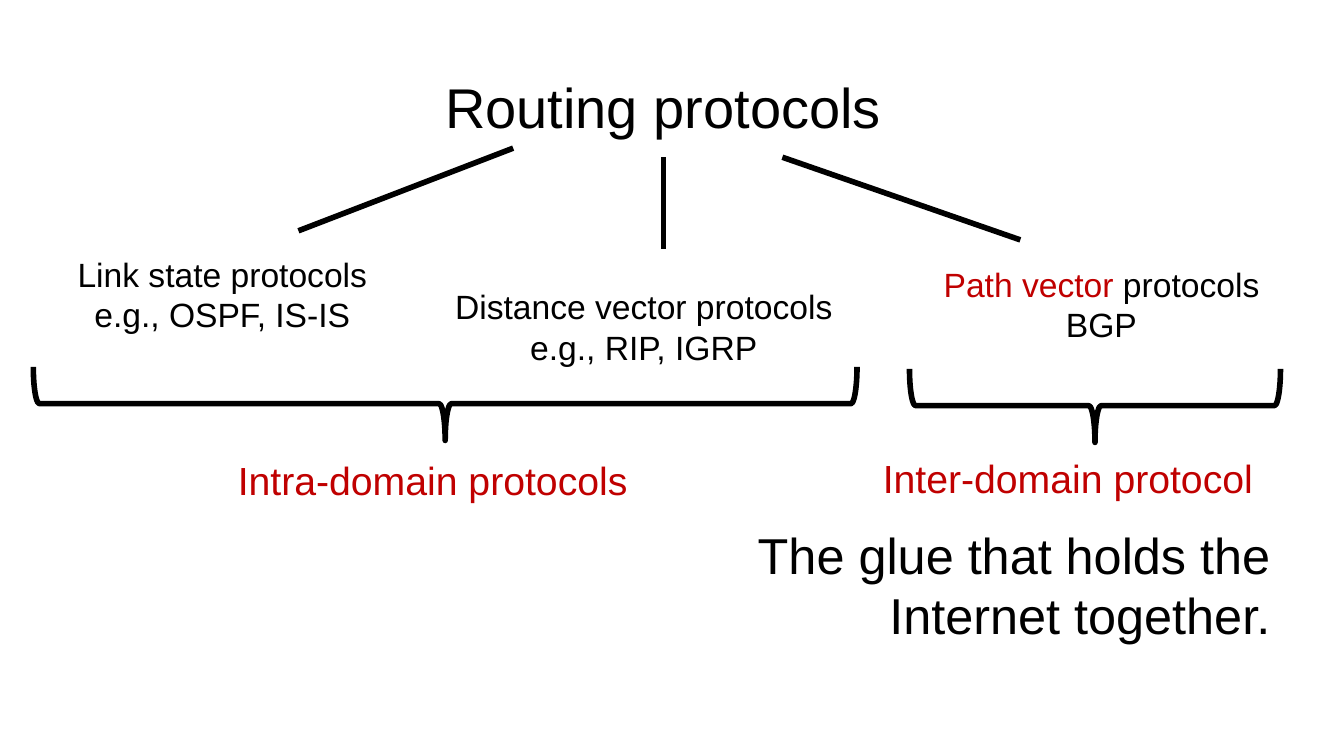
from dataclasses import dataclass

from lxml import etree
from pptx import Presentation
from pptx.dml.color import RGBColor
from pptx.enum.shapes import MSO_CONNECTOR, MSO_SHAPE
from pptx.enum.text import MSO_AUTO_SIZE, PP_ALIGN
from pptx.oxml.ns import qn
from pptx.util import Inches, Pt

STRAIGHT = MSO_CONNECTOR.STRAIGHT
RIGHT_BRACE = MSO_SHAPE.RIGHT_BRACE
FIT_SHAPE = MSO_AUTO_SIZE.SHAPE_TO_FIT_TEXT
CENTER, RIGHT = PP_ALIGN.CENTER, PP_ALIGN.RIGHT


@dataclass(frozen=True)
class Theme:
    font: str = "Arial"
    ink: RGBColor = RGBColor(0x00, 0x00, 0x00)
    accent: RGBColor = RGBColor(0xC0, 0x00, 0x00)
    title: int = 40
    remark: int = 36
    group: int = 28
    body: int = 24
    stroke: int = 4


THEME = Theme()


def add_text(slide, box, paragraphs, size, align=CENTER):
    tb = slide.shapes.add_textbox(*map(Inches, box))
    tf = tb.text_frame
    tf.word_wrap = True
    tf.auto_size = FIT_SHAPE
    for i, runs in enumerate(paragraphs):
        p = tf.add_paragraph() if i else tf.paragraphs[0]
        p.alignment = align
        for text, color in runs:
            r = p.add_run()
            r.text = text
            r.font.name = THEME.font
            r.font.size = Pt(size)
            r.font.color.rgb = color


def set_stroke(line):
    line.color.rgb = THEME.ink
    line.width = Pt(THEME.stroke)


def add_branch(slide, start, end):
    cn = slide.shapes.add_connector(STRAIGHT, *map(Inches, (*start, *end)))
    set_stroke(cn.line)
    etree.SubElement(cn._element.spPr, qn("a:effectLst"))


def add_brace(slide, box):
    left, top, width, height = box
    x = left + (width - height) / 2
    y = top + (height - width) / 2
    sp = slide.shapes.add_shape(RIGHT_BRACE, *map(Inches, (x, y, height, width)))
    sp.rotation = 90
    sp.shadow.inherit = False
    sp.fill.background()
    set_stroke(sp.line)


def add_root(slide, box):
    add_text(slide, box, [[("Routing protocols", THEME.ink)]], THEME.title)
    left, top = box[:2]
    branches = [
        ((1.44, 0.8), (-0.69, 1.62)),
        ((2.93, 0.89), (2.93, 1.8)),
        ((4.11, 0.89), (6.47, 1.71)),
    ]
    for start, end in branches:
        add_branch(slide, *[(left + x, top + y) for x, y in (start, end)])


def add_group(slide, brace_box, label_box, label):
    add_brace(slide, brace_box)
    add_text(slide, label_box, [[(label, THEME.accent)]], THEME.group)


def main():
    prs = Presentation()
    prs.slide_width, prs.slide_height = Inches(13.33), Inches(7.5)
    slide = prs.slides.add_slide(prs.slide_layouts[6])

    add_root(slide, (3.65, 0.67, 5.85, 0.77))

    ink, accent = THEME.ink, THEME.accent
    families = [
        ((0.45, 2.47, 3.51, 0.91),
         [[("Link state protocols", ink)], [("e.g., OSPF, IS-IS", ink)]]),
        ((4.27, 2.79, 4.23, 0.91),
         [[("Distance vector protocols", ink)], [("e.g., RIP, IGRP", ink)]]),
        ((8.81, 2.57, 4.23, 0.91),
         [[("Path vector ", accent), ("protocols", ink)], [("BGP", ink)]]),
    ]
    for box, paragraphs in families:
        add_text(slide, box, paragraphs, THEME.body)

    add_group(slide, (0.33, 3.64, 8.17, 0.73), (0.45, 4.48, 7.68, 0.57),
              "Intra-domain protocols")
    add_group(slide, (9.02, 3.66, 3.68, 0.73), (8.13, 4.46, 4.92, 0.57),
              "Inter-domain protocol")
    add_text(slide, (5.99, 5.15, 6.71, 1.31),
             [[("The glue that holds the Internet together.", ink)]],
             THEME.remark, RIGHT)

    prs.save("out.pptx")


if __name__ == "__main__":
    main()
